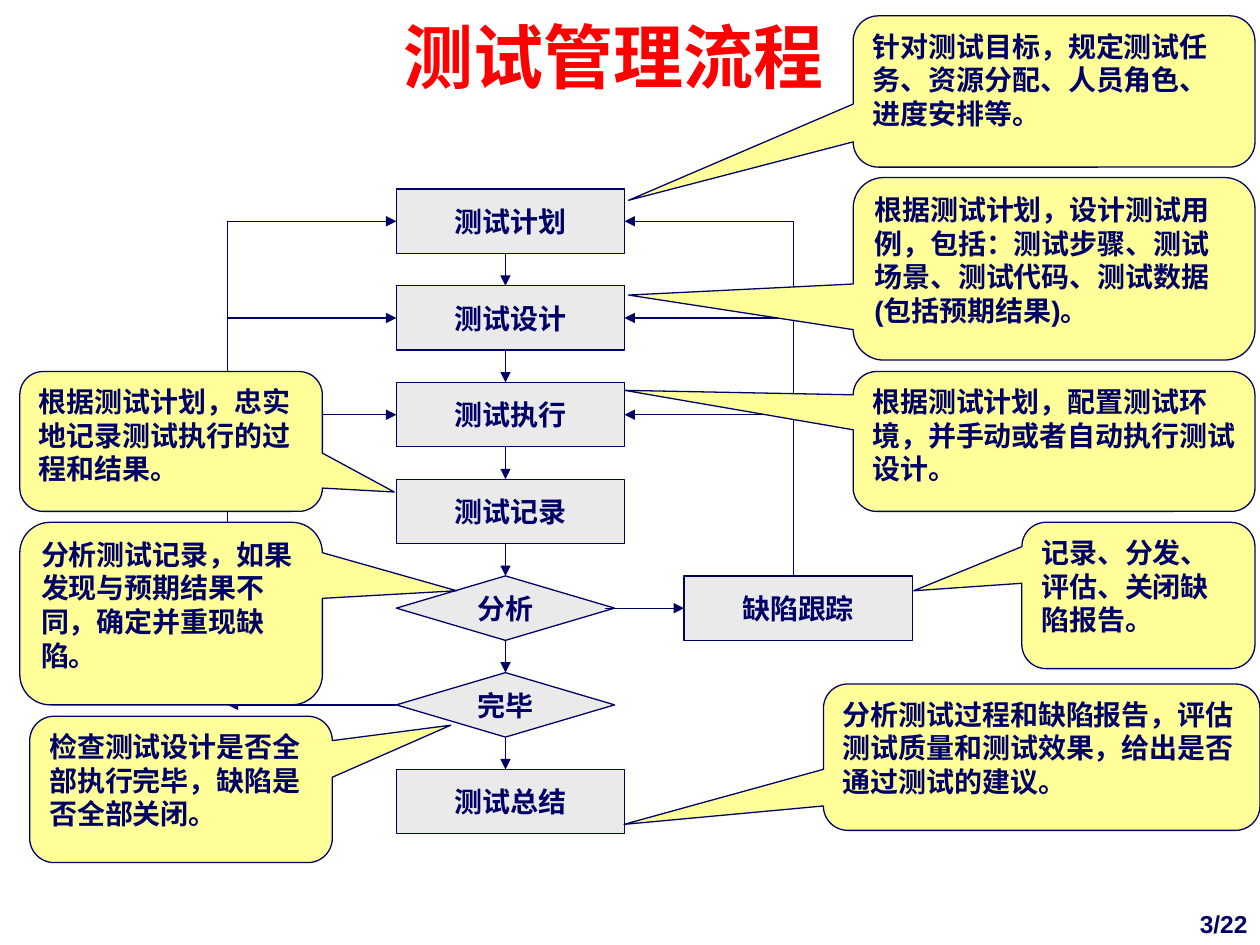
from pptx import Presentation
from pptx.dml.color import RGBColor
from pptx.enum.shapes import MSO_CONNECTOR, MSO_SHAPE as SHAPE
from pptx.enum.text import MSO_ANCHOR as ANCHOR, PP_ALIGN as ALIGN
from pptx.oxml.ns import qn
from pptx.util import Cm, Pt
from lxml.etree import SubElement

NAVY, GREY, YELLOW, RED = "000066", "EAEAEA", "FFFF99", "FF0000"

# Flow grid, in cm, relative to the flow's box
PITCH, NODE_W, NODE_H, DIAMOND_W = 1.95, 4.6, 1.3, 4.4
STEPS = ["测试计划", "测试设计", "测试执行", "测试记录", "分析", "完毕", "测试总结"]
DECISIONS = {"分析", "完毕"}

# Left, top, width, height, tip x, tip y, text
CALLOUTS = [
    (17.2, 0.32, 8.1, 3.05, 12.67, 4.04, "针对测试目标，规定测试任务、资源分配、人员角色、进度安排等。"),
    (17.2, 3.58, 8.1, 3.68, 12.67, 5.95,
     "根据测试计划，设计测试用例，包括：测试步骤、测试场景、测试代码、测试数据(包括预期结果)。"),
    (17.2, 7.49, 8.1, 2.82, 12.59, 7.87, "根据测试计划，配置测试环境，并手动或者自动执行测试设计。"),
    (0.4, 7.49, 6.1, 2.82, 7.95, 9.92, "根据测试计划，忠实地记录测试执行的过程和结果。"),
    (0.4, 10.53, 6.1, 3.68, 9.21, 11.91, "分析测试记录，如果发现与预期结果不同，确定并重现缺陷。"),
    (0.6, 14.44, 6.1, 2.95, 9.09, 14.62, "检查测试设计是否全部执行完毕，缺陷是否全部关闭。"),
    (20.6, 10.53, 4.7, 2.95, 18.42, 11.91, "记录、分发、评估、关闭缺陷报告。"),
    (16.6, 13.79, 8.8, 2.95, 12.58, 16.62, "分析测试过程和缺陷报告，评估测试质量和测试效果，给出是否通过测试的建议。"),
]


def rgb(hex_color):
    return RGBColor.from_string(hex_color)


def write(sp, text, size=16, color=NAVY, font="Arial", align=ALIGN.CENTER,
          anchor=ANCHOR.MIDDLE, wrap=True):
    """Fill the shape with one bold paragraph whose punctuation stays inside the margin."""
    tf = sp.text_frame
    tf.word_wrap = wrap
    tf.vertical_anchor = anchor
    p = tf.paragraphs[0]
    p.text = text
    p.alignment = align
    p.font.name, p.font.size, p.font.bold = font, Pt(size), True
    p.font.color.rgb = rgb(color)
    p._p.get_or_add_pPr().set("hangingPunct", "0")


def add_outlined(slide, kind, box, fill):
    sp = slide.shapes.add_shape(kind, *map(Cm, box))
    sp.shadow.inherit = False
    sp.fill.solid()
    sp.fill.fore_color.rgb = rgb(fill)
    sp.line.color.rgb = rgb(NAVY)
    sp.line.width = Pt(0.75)
    return sp


def add_line(slide, x1, y1, x2, y2, arrow=True):
    cn = slide.shapes.add_connector(MSO_CONNECTOR.STRAIGHT, *map(Cm, (x1, y1, x2, y2)))
    cn.line.color.rgb = rgb(NAVY)
    cn.line.width = Pt(0.75)
    if arrow:
        SubElement(cn.line._get_or_add_ln(), qn("a:tailEnd"), type="triangle")
    SubElement(cn._element.spPr, qn("a:effectLst"))


def add_node(slide, text, x, y):
    if text in DECISIONS:
        kind, w = SHAPE.FLOWCHART_DECISION, DIAMOND_W
    else:
        kind, w = SHAPE.RECTANGLE, NODE_W
    sp = add_outlined(slide, kind, (x, y, w, NODE_H), GREY)
    write(sp, text, wrap=False)


def add_flow(slide, left, top):
    """Column of steps, defect tracking beside it, and the loops back to the first three."""
    axis = left + DIAMOND_W / 2
    tracking_x = left + 5.8
    right_rail, left_rail = left + 8.0, left - 3.4

    def middle(row):
        return top + row * PITCH + NODE_H / 2

    for row, text in enumerate(STEPS):
        y = top + row * PITCH
        add_node(slide, text, left, y)
        if row:
            add_line(slide, axis, y - PITCH + NODE_H, axis, y)

    analysis, done = STEPS.index("分析"), STEPS.index("完毕")
    tracking_y = top + analysis * PITCH
    add_node(slide, "缺陷跟踪", tracking_x, tracking_y)
    add_line(slide, left + DIAMOND_W - 0.2, middle(analysis), tracking_x, middle(analysis))
    add_line(slide, right_rail, tracking_y, right_rail, middle(0), arrow=False)
    add_line(slide, left, middle(done), left_rail, middle(done))
    add_line(slide, left_rail, middle(done), left_rail, middle(0), arrow=False)
    for row in range(3):
        add_line(slide, right_rail, middle(row), left + NODE_W, middle(row))
        add_line(slide, left_rail, middle(row), left, middle(row))


def add_callout(slide, x, y, w, h, tip_x, tip_y, text):
    sp = add_outlined(slide, SHAPE.ROUNDED_RECTANGULAR_CALLOUT, (x, y, w, h), YELLOW)
    sp.adjustments[0] = (tip_x - x) / w - 0.5
    sp.adjustments[1] = (tip_y - y) / h - 0.5
    write(sp, text, align=ALIGN.LEFT, anchor=ANCHOR.TOP)


def add_text(slide, box, text, **style):
    write(slide.shapes.add_textbox(*map(Cm, box)), text, **style)


def main():
    prs = Presentation()
    prs.slide_width, prs.slide_height = Cm(25.4), Cm(19.05)
    slide = prs.slides.add_slide(prs.slide_layouts[6])
    add_text(slide, (20.12, 17.78, 5.28, 1.27), "3/22", size=14,
             align=ALIGN.RIGHT, anchor=ANCHOR.BOTTOM)
    add_flow(slide, 7.99, 3.81)
    for callout in CALLOUTS:
        add_callout(slide, *callout)
    add_text(slide, (1.57, 0.14, 21.6, 1.96), "测试管理流程", size=40, color=RED,
             font="Montserrat")
    prs.save("out.pptx")


if __name__ == "__main__":
    main()
